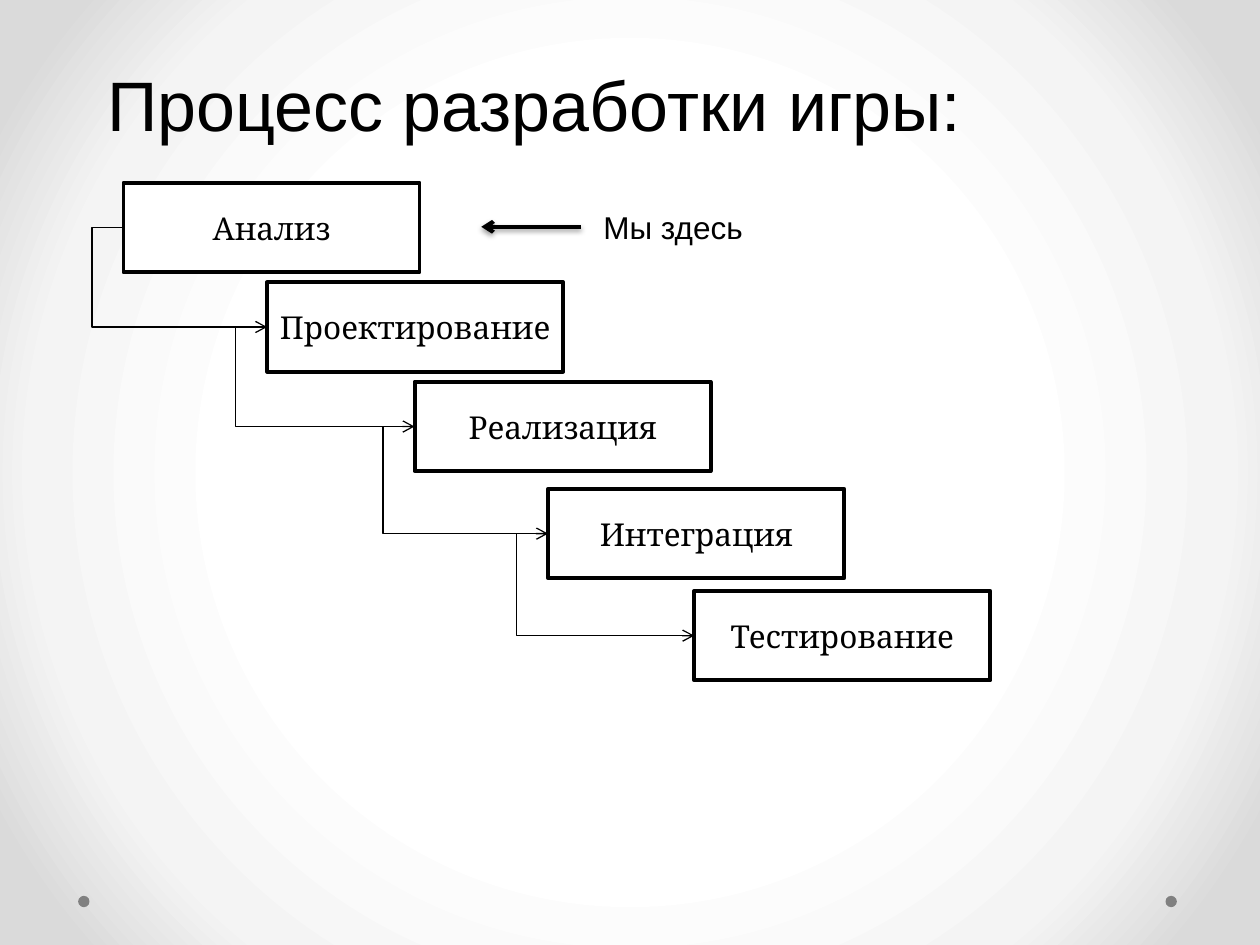
import pptx
import pptx.dml.color
import pptx.enum.shapes
import pptx.enum.text
import pptx.oxml
import pptx.oxml.ns
import pptx.util

Inches = pptx.util.Inches
Pt = pptx.util.Pt
COLORS = {"ink": "000000", "box": "FFFFFF", "dot": "808080",
          "center": "FFFFFF", "middle": "F4F4F4", "edge": "DADADA"}
STAGES = [("Анализ", 0.98, 1.45), ("Проектирование", 2.12, 2.24),
          ("Реализация", 3.29, 3.03), ("Интеграция", 4.35, 3.88),
          ("Тестирование", 5.51, 4.69)]
STAGE_WIDTH, STAGE_HEIGHT = 2.35, 0.71
ELBOW_REACH = 0.25


def rgb(name):
    return pptx.dml.color.RGBColor.from_string(COLORS[name])


def xml(tag, attributes="", children=""):
    return pptx.oxml.parse_xml(
        f'<{tag} {pptx.oxml.ns.nsdecls("a", "p")} {attributes}>{children}</{tag}>')


def paint_background(slide):
    stops = "".join(
        f'<a:gs pos="{position * 1000}"><a:srgbClr val="{COLORS[name]}"/></a:gs>'
        for position, name in [(50, "center"), (76, "middle"), (92, "edge")])
    gradient = (f'<a:gradFill rotWithShape="1"><a:gsLst>{stops}</a:gsLst>'
                '<a:path path="circle"><a:fillToRect l="50000" t="50000" '
                'r="50000" b="50000"/></a:path></a:gradFill><a:effectLst/>')
    background = xml("p:bg", children=f"<p:bgPr>{gradient}</p:bgPr>")
    slide.element.cSld.insert(0, background)


def write(frame, text, size, font, align, anchor):
    frame.text = text
    frame.vertical_anchor = anchor
    paragraph = frame.paragraphs[0]
    paragraph.alignment = align
    run_font = paragraph.runs[0].font
    run_font.size = Pt(size)
    run_font.name = font
    run_font.color.rgb = rgb("ink")


def place_label(label, text, size, left, top, width, height):
    label.left, label.top = Inches(left), Inches(top)
    label.width, label.height = Inches(width), Inches(height)
    write(label.text_frame, text, size, "Arial",
          pptx.enum.text.PP_ALIGN.LEFT, pptx.enum.text.MSO_ANCHOR.TOP)
    label.text_frame.word_wrap = False
    label.text_frame.auto_size = pptx.enum.text.MSO_AUTO_SIZE.SHAPE_TO_FIT_TEXT


def add_filled(slide, preset, color, left, top, width, height):
    shape = slide.shapes.add_shape(
        preset, Inches(left), Inches(top), Inches(width), Inches(height))
    shape.shadow.inherit = False
    shape.fill.solid()
    shape.fill.fore_color.rgb = rgb(color)
    shape.line.fill.background()
    return shape


def add_dot(slide, left):
    add_filled(slide, pptx.enum.shapes.MSO_SHAPE.OVAL, "dot", left, 7.11, 0.09, 0.09)


def add_stage(slide, name, left, top):
    stage = add_filled(slide, pptx.enum.shapes.MSO_SHAPE.RECTANGLE, "box",
                       left, top, STAGE_WIDTH, STAGE_HEIGHT)
    stage.line.color.rgb = rgb("ink")
    stage.line.width = Pt(2.25)
    write(stage.text_frame, name, 18, "Cambria",
          pptx.enum.text.PP_ALIGN.CENTER, pptx.enum.text.MSO_ANCHOR.MIDDLE)
    return stage


def add_arrow(slide, kind, start, end, weight, effect=""):
    arrow = slide.shapes.add_connector(kind, *start, *end)
    arrow.line.color.rgb = rgb("ink")
    arrow.line.width = Pt(weight)
    arrow.line._get_or_add_ln().append(xml("a:tailEnd", 'type="arrow"'))
    arrow.element.spPr.append(xml("a:effectLst", children=effect))
    return arrow


def link_stages(slide, source, target):
    start, end = [(stage.left, stage.top + stage.height // 2)
                  for stage in (source, target)]
    link = add_arrow(slide, pptx.enum.shapes.MSO_CONNECTOR.ELBOW, start, end, 0.75)
    link.begin_connect(source, 1)
    link.end_connect(target, 1)
    bend = round(-Inches(ELBOW_REACH) / link.width * 100000)
    geometry = link.element.spPr.find(pptx.oxml.ns.qn("a:prstGeom"))
    adjustments = geometry.find(pptx.oxml.ns.qn("a:avLst"))
    if adjustments is None:
        adjustments = xml("a:avLst")
        geometry.append(adjustments)
    adjustments.append(xml("a:gd", f'name="adj1" fmla="val {bend}"'))


def add_pointer(slide):
    shadow = (f'<a:outerShdw blurRad="{Pt(3.1)}" dist="{Pt(1.6)}" dir="5400000" '
              f'rotWithShape="0"><a:srgbClr val="{COLORS["ink"]}">'
              '<a:alpha val="38000"/></a:srgbClr></a:outerShdw>')
    add_arrow(slide, pptx.enum.shapes.MSO_CONNECTOR.STRAIGHT,
              (Inches(4.61), Inches(1.8)), (Inches(3.82), Inches(1.8)), 2.25, shadow)


def main():
    deck = pptx.Presentation()
    deck.slide_width, deck.slide_height = Inches(10), Inches(7.5)
    slide = deck.slides.add_slide(deck.slide_layouts[5])
    paint_background(slide)
    for left in (9.25, 0.62):
        add_dot(slide, left)
    place_label(slide.shapes.title, "Процесс разработки игры:", 40,
                0.75, 0.44, 7.2, 0.77)
    stages = [add_stage(slide, *stage) for stage in STAGES]
    for source, target in zip(stages, stages[1:]):
        link_stages(slide, source, target)
    add_pointer(slide)
    here = slide.shapes.add_textbox(0, 0, 0, 0)
    place_label(here, "Мы здесь", 18, 4.69, 1.6, 1.32, 0.4)
    deck.save("out.pptx")


main()
